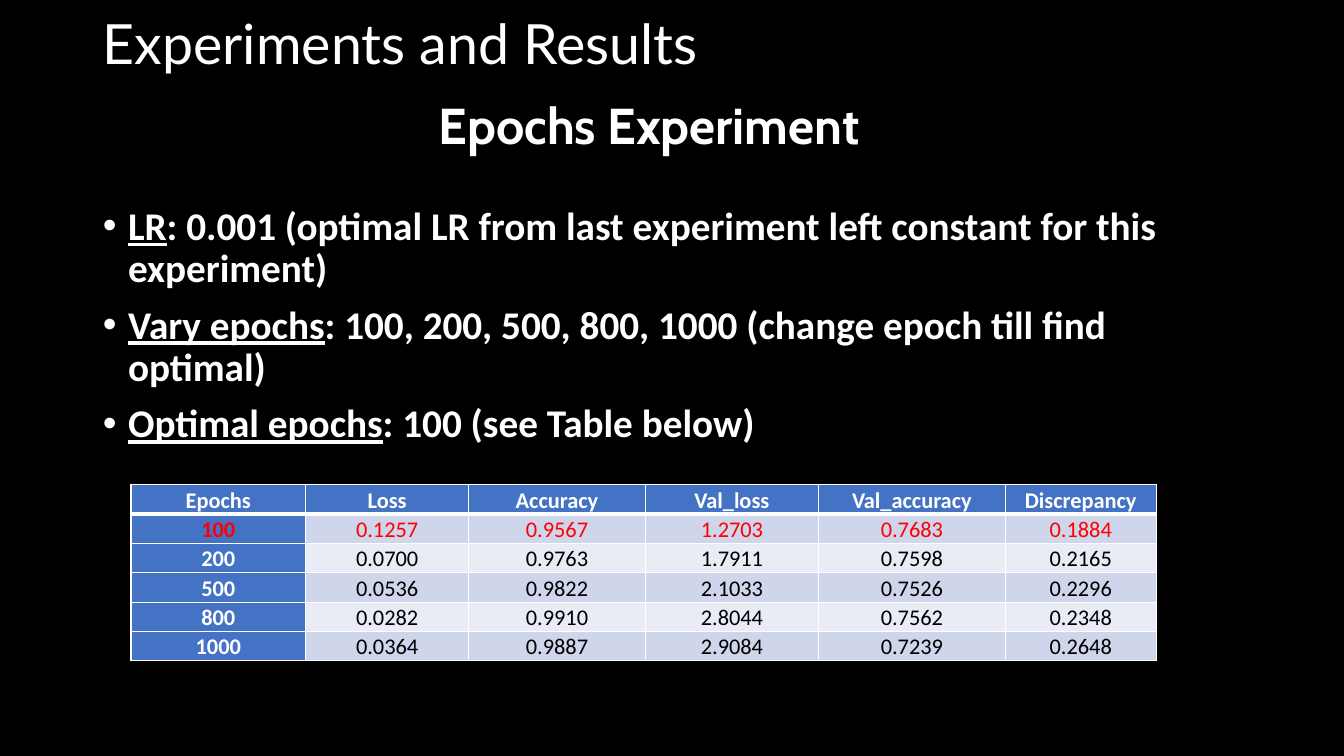
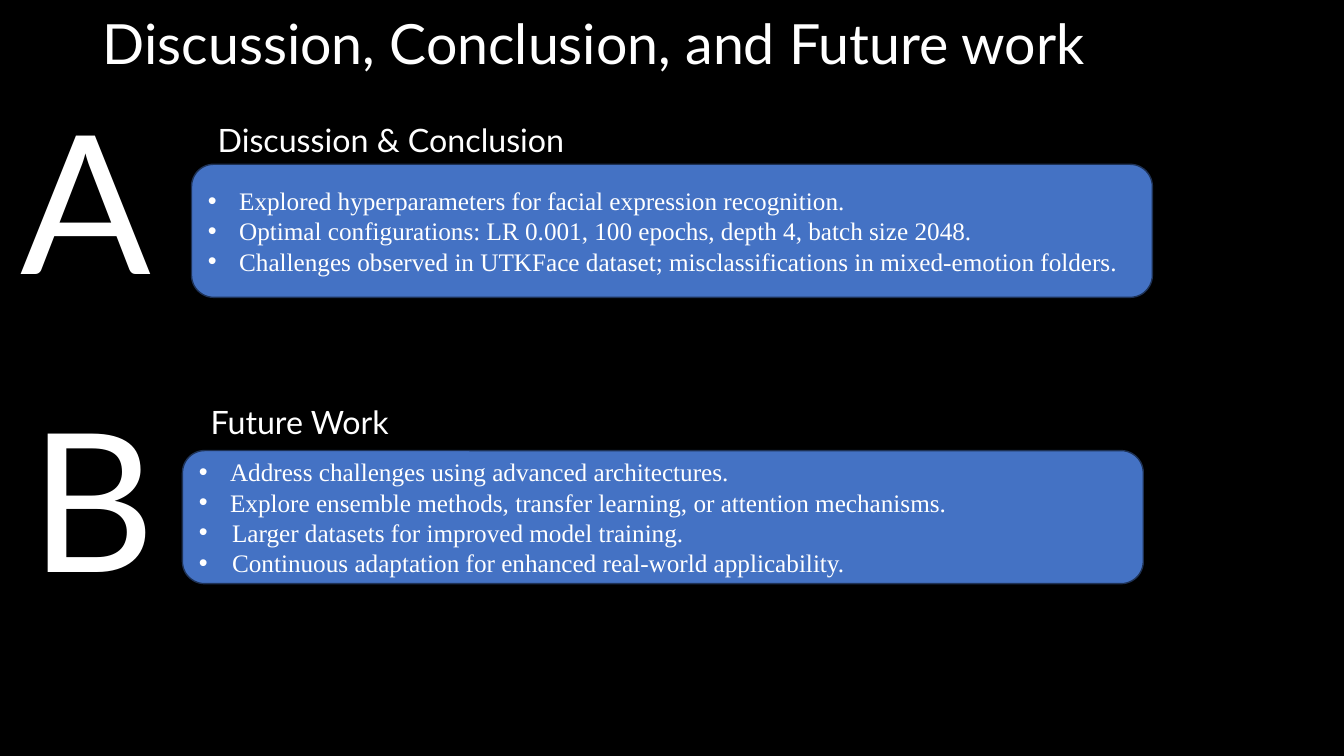
import dataclasses
import lxml.etree
import pptx
import pptx.dml.color
import pptx.enum.shapes
import pptx.enum.text
import pptx.oxml
import pptx.oxml.ns
import pptx.util

Inches = pptx.util.Inches
Pt = pptx.util.Pt
Align = pptx.enum.text.PP_ALIGN
Anchor = pptx.enum.text.MSO_ANCHOR


@dataclasses.dataclass(frozen=True)
class Box:
    left: float
    top: float
    width: float
    height: float

    def inside(self, left, top, width, height):
        return Box(self.left + left, self.top + top, width, height)

    def lengths(self):
        return [Inches(value) for value in dataclasses.astuple(self)]


@dataclasses.dataclass(frozen=True)
class Style:
    name: str
    size: float
    bold: bool = False


@dataclasses.dataclass(frozen=True)
class Theme:
    background: str = "000000"
    text: str = "FFFFFF"
    accent: str = "4472C4"
    outline: str = "1E3256"
    highlight: str = "FF0000"
    cell_text: str = "000000"
    bands: tuple = ("CFD5EA", "E9EBF5")
    title: Style = Style("Lato", 39.6)
    subtitle: Style = Style("Cabin", 36, True)
    body: Style = Style("Calibri", 28, True)
    table_header: Style = Style("Calibri", 16, True)
    table_value: Style = Style("Calibri", 16)
    letter: Style = Style("Lato", 138)
    heading: Style = Style("Lato", 23)
    panel: Style = Style("Times New Roman", 18)


THEME = Theme()
TITLE_BOX = Box(0.92, 0.17, 11.5, 0.5)


def color(value):
    return pptx.dml.color.RGBColor.from_string(value)


def apply_format(target, values):
    for name, value in values.items():
        setattr(target, name, value)


def fill_solid(target, value):
    target.fill.solid()
    target.fill.fore_color.rgb = color(value)


def add_run(paragraph, text, style, text_color=THEME.text, underline=False):
    run = paragraph.add_run()
    run.text = text
    apply_format(run.font, {
        "name": style.name,
        "size": Pt(style.size),
        "bold": style.bold,
        "underline": underline,
    })
    run.font.color.rgb = color(text_color)


def set_bullet(paragraph, indent):
    properties = paragraph._p.get_or_add_pPr()
    properties.set("marL", str(Inches(indent)))
    properties.set("indent", str(-Inches(indent)))
    font = lxml.etree.SubElement(properties, pptx.oxml.ns.qn("a:buFont"))
    font.set("typeface", "Arial")
    bullet = lxml.etree.SubElement(properties, pptx.oxml.ns.qn("a:buChar"))
    bullet.set("char", "•")


def format_frame(frame, anchor, margin=None):
    apply_format(frame, {
        "word_wrap": True,
        "auto_size": pptx.enum.text.MSO_AUTO_SIZE.NONE,
        "vertical_anchor": anchor,
    })
    if margin is not None:
        sides = ("left", "right", "top", "bottom")
        apply_format(frame, {f"margin_{side}": Inches(margin) for side in sides})


def place(shape, box):
    names = ("left", "top", "width", "height")
    apply_format(shape, dict(zip(names, box.lengths())))


def add_label(slide, box, text, style, anchor, margin=None, **paragraph_format):
    frame = slide.shapes.add_textbox(*box.lengths()).text_frame
    format_frame(frame, anchor, margin)
    paragraph = frame.paragraphs[0]
    apply_format(paragraph, paragraph_format)
    add_run(paragraph, text, style)


def list_paragraphs(frame, count):
    return [frame.paragraphs[0]] + [frame.add_paragraph() for _ in range(count - 1)]


def add_titled_slide(presentation, layout_index, title):
    slide = presentation.slides.add_slide(presentation.slide_layouts[layout_index])
    shape = slide.shapes.title
    place(shape, TITLE_BOX)
    format_frame(shape.text_frame, Anchor.MIDDLE)
    paragraph = shape.text_frame.paragraphs[0]
    paragraph.alignment = Align.LEFT
    add_run(paragraph, title, THEME.title)
    return slide


def fill_body(shape, box, items):
    place(shape, box)
    frame = shape.text_frame
    format_frame(frame, Anchor.TOP)
    for paragraph, (term, detail) in zip(list_paragraphs(frame, len(items)), items):
        apply_format(paragraph, {
            "line_spacing": 0.9,
            "space_before": Pt(10),
            "space_after": Pt(0),
        })
        set_bullet(paragraph, 0.25)
        add_run(paragraph, term, THEME.body, underline=True)
        add_run(paragraph, detail, THEME.body)


def set_borders(cell, widths):
    properties = cell._tc.get_or_add_tcPr()
    for index, (side, width) in enumerate(widths.items()):
        properties.insert(index, pptx.oxml.parse_xml(
            f'<a:ln{side} {pptx.oxml.ns.nsdecls("a")} w="{Pt(width)}"><a:solidFill>'
            f'<a:srgbClr val="{THEME.text}"/></a:solidFill></a:ln{side}>'))


def add_results_table(slide, box, column_widths, rows, best_row):
    table = slide.shapes.add_table(len(rows), len(rows[0]), *box.lengths()).table
    for column, width in zip(table.columns, column_widths):
        column.width = Inches(width)
    for row_index, values in enumerate(rows):
        for column_index, value in enumerate(values):
            cell = table.cell(row_index, column_index)
            is_header = row_index == 0 or column_index == 0
            band = THEME.bands[(row_index - 1) % 2]
            fill_solid(cell, THEME.accent if is_header else band)
            set_borders(cell, {
                "L": 1,
                "R": 1,
                "T": 3 if row_index == 1 else 1,
                "B": 3 if row_index == 0 else 1,
            })
            apply_format(cell, {
                "margin_left": Inches(0.12),
                "margin_right": Inches(0.12),
                "margin_top": 0,
                "margin_bottom": 0,
            })
            paragraph = cell.text_frame.paragraphs[0]
            apply_format(paragraph, {
                "alignment": Align.CENTER,
                "line_spacing": 1.07,
                "space_after": Pt(8),
            })
            text_color = THEME.text if is_header else THEME.cell_text
            if row_index == best_row:
                text_color = THEME.highlight
            style = THEME.table_header if is_header else THEME.table_value
            add_run(paragraph, value, style, text_color)


def add_section(slide, box, letter, letter_box, heading, heading_offset, items):
    add_label(slide, box.inside(*letter_box), letter, THEME.letter,
              Anchor.BOTTOM, 0.1, alignment=Align.CENTER)
    panel = slide.shapes.add_shape(
        pptx.enum.shapes.MSO_SHAPE.ROUNDED_RECTANGLE, *box.lengths())
    panel.shadow.inherit = False
    fill_solid(panel, THEME.accent)
    panel.line.color.rgb = color(THEME.outline)
    panel.line.width = Pt(1)
    format_frame(panel.text_frame, Anchor.MIDDLE)
    paragraphs = list_paragraphs(panel.text_frame, len(items))
    for paragraph, (text, indent) in zip(paragraphs, items):
        paragraph.alignment = Align.LEFT
        set_bullet(paragraph, indent)
        add_run(paragraph, text, THEME.panel)
    add_label(slide, box.inside(*heading_offset, 5.04, 0.38), heading,
              THEME.heading, Anchor.BOTTOM, 0.1)


def build_experiment_slide(presentation):
    slide = add_titled_slide(presentation, 1, "Experiments and Results")
    fill_body(slide.placeholders[1], Box(0.92, 2, 11.5, 2.66), [
        ("LR", ": 0.001 (optimal LR from last experiment left constant for this experiment)"),
        ("Vary epochs", ": 100, 200, 500, 800, 1000 (change epoch till find optimal)"),
        ("Optimal epochs", ": 100 (see Table below)"),
    ])
    add_label(slide, Box(0.69, 0.55, 11.5, 1.45), "Epochs Experiment", THEME.subtitle,
              Anchor.MIDDLE, alignment=Align.CENTER, line_spacing=0.9)
    add_results_table(
        slide, Box(1.3, 4.81, 10.17, 1.64), (1.73, 1.62, 1.75, 1.72, 1.85, 1.5), [
            ("Epochs", "Loss", "Accuracy", "Val_loss", "Val_accuracy", "Discrepancy"),
            ("100", "0.1257", "0.9567", "1.2703", "0.7683", "0.1884"),
            ("200", "0.0700", "0.9763", "1.7911", "0.7598", "0.2165"),
            ("500", "0.0536", "0.9822", "2.1033", "0.7526", "0.2296"),
            ("800", "0.0282", "0.9910", "2.8044", "0.7562", "0.2348"),
            ("1000", "0.0364", "0.9887", "2.9084", "0.7239", "0.2648"),
        ], best_row=1)


def build_conclusion_slide(presentation):
    slide = add_titled_slide(presentation, 5, "Discussion, Conclusion, and Future work")
    add_section(
        slide, Box(1.9, 1.63, 9.53, 1.32), "A", (-2, -0.01, 1.91, 1.59),
        "Discussion & Conclusion", (0.16, -0.33), [
            ("Explored hyperparameters for facial expression recognition.", 0.31),
            ("Optimal configurations: LR 0.001, 100 epochs, depth 4, batch size 2048.", 0.31),
            ("Challenges observed in UTKFace dataset; misclassifications in "
             "mixed-emotion folders.", 0.31),
        ])
    add_section(
        slide, Box(1.81, 4.47, 9.53, 1.32), "B", (-1.72, -0.3, 1.66, 1.99),
        "Future Work", (0.18, -0.38), [
            ("Address challenges using advanced architectures.", 0.31),
            ("Explore ensemble methods, transfer learning, or attention mechanisms.", 0.31),
            ("Larger datasets for improved model training.", 0.33),
            ("Continuous adaptation for enhanced real-world applicability.", 0.33),
        ])


def main():
    presentation = pptx.Presentation()
    apply_format(presentation, {
        "slide_width": Inches(13.33),
        "slide_height": Inches(7.5),
    })
    fill_solid(presentation.slide_master.background, THEME.background)
    build_experiment_slide(presentation)
    build_conclusion_slide(presentation)
    presentation.save("out.pptx")


if __name__ == "__main__":
    main()
